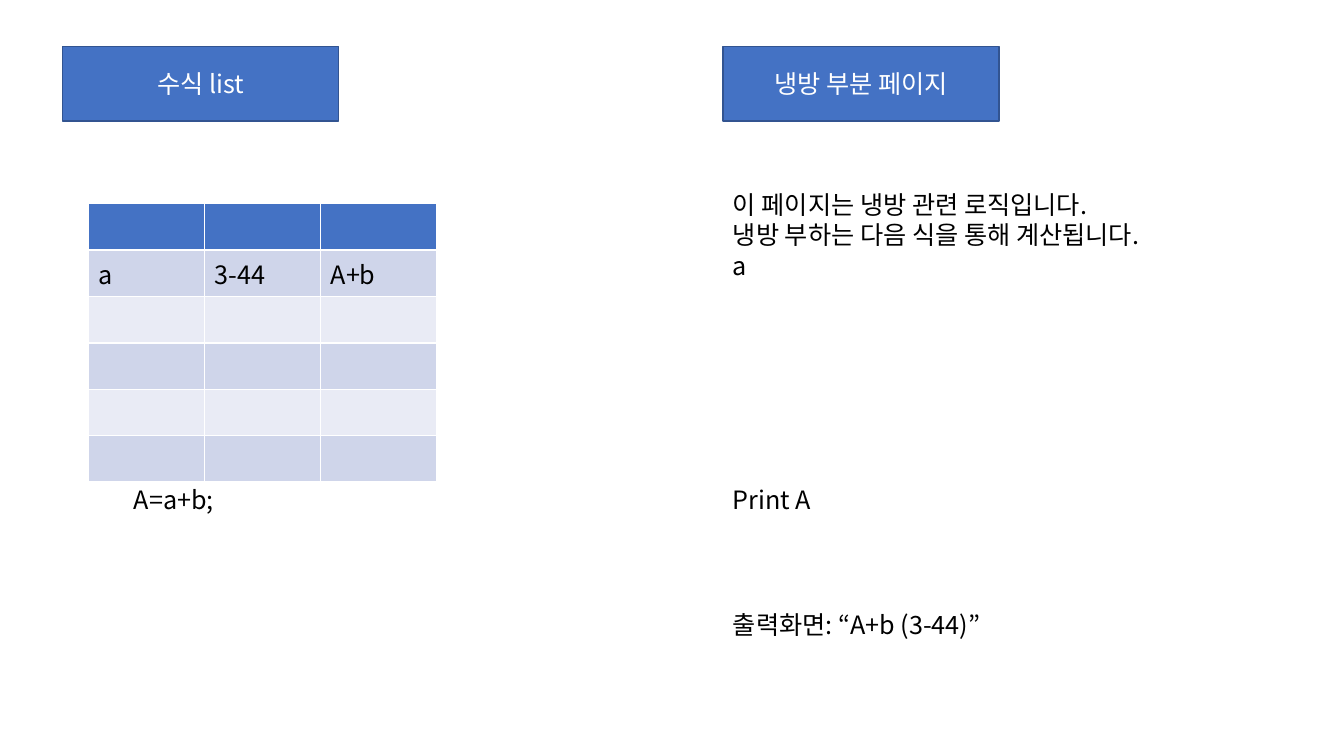
"""Build a slide pairing a formula list with its cooling page."""
from lxml import etree
from pptx import Presentation
from pptx.dml.color import RGBColor
from pptx.enum.shapes import MSO_SHAPE
from pptx.enum.text import MSO_ANCHOR, PP_ALIGN
from pptx.oxml.ns import qn
from pptx.util import Inches, Pt

RECT = MSO_SHAPE.RECTANGLE
MIDDLE = MSO_ANCHOR.MIDDLE
CENTER = PP_ALIGN.CENTER
FONT = "Noto Sans CJK KR"
COLORS = {
    "header": "4472C4",
    "outline": "325491",
    "band_dark": "CFD5EA",
    "band_light": "E9EBF5",
    "text": "000000",
    "white": "FFFFFF",
}
FORMULAS = [
    ["", "", ""],
    ["a", "3-44", "A+b"],
    ["", "", ""],
    ["", "", ""],
    ["", "", ""],
    ["", "", ""],
]


def color(name):
    """Return a palette colour."""
    return RGBColor.from_string(COLORS[name])


def set_text(tf, text, font_color):
    """Fill a text frame and format its runs for Latin and Korean text."""
    tf.text = text
    for p in tf.paragraphs:
        for r in p.runs:
            r.font.size = Pt(18)
            r.font.name = FONT
            r.font.color.rgb = color(font_color)
            ea = etree.SubElement(r.font._element, qn("a:ea"))
            ea.set("typeface", FONT)


def add_heading(s, x, y, text):
    """Add a blue heading bar."""
    sp = s.shapes.add_shape(RECT, Inches(x), Inches(y), Inches(2.74), Inches(0.74))
    sp.shadow.inherit = False
    sp.fill.solid()
    sp.fill.fore_color.rgb = color("header")
    sp.line.color.rgb = color("outline")
    sp.line.width = Pt(1)
    tf = sp.text_frame
    set_text(tf, text, "white")
    tf.vertical_anchor = MIDDLE
    tf.paragraphs[0].alignment = CENTER


def add_text(s, x, y, w, h, text):
    """Add a wrapped text box."""
    tf = s.shapes.add_textbox(Inches(x), Inches(y), Inches(w), Inches(h)).text_frame
    tf.word_wrap = True
    set_text(tf, text, "text")


def add_formula_table(s, x, y, w, h):
    """Add the banded formula table."""
    rows, cols = len(FORMULAS), len(FORMULAS[0])
    table = s.shapes.add_table(
        rows, cols, Inches(x), Inches(y), Inches(w), Inches(h)
    ).table
    for i, values in enumerate(FORMULAS):
        band = "band_dark" if i % 2 else "band_light"
        for j, value in enumerate(values):
            cell = table.cell(i, j)
            cell.fill.solid()
            cell.fill.fore_color.rgb = color(band if i else "header")
            if value:
                set_text(cell.text_frame, value, "text")


def add_formula_list(s, x, y):
    """Place the formula list region from its top left corner."""
    add_heading(s, x, y, "수식 list")
    add_formula_table(s, x + 0.26, y + 1.56, 3.45, 2.76)
    add_text(s, x + 0.61, y + 4.3, 2.47, 0.4, "A=a+b;")


def add_cooling_page(s, x, y):
    """Place the cooling page region from its top left corner."""
    add_heading(s, x, y, "냉방 부분 페이지")
    add_text(
        s, x, y + 1.37, 4.61, 2.22,
        "이 페이지는 냉방 관련 로직입니다.\n냉방 부하는 다음 식을 통해 계산됩니다.\na",
    )
    add_text(s, x, y + 4.3, 2.47, 0.4, "Print A")
    add_text(s, x, y + 5.54, 2.74, 0.4, "출력화면: “A+b (3-44)”")


def main():
    """Build and save the presentation."""
    prs = Presentation()
    prs.slide_width, prs.slide_height = Inches(13.33), Inches(7.5)
    s = prs.slides.add_slide(prs.slide_layouts[6])
    add_formula_list(s, 0.62, 0.46)
    add_cooling_page(s, 7.17, 0.46)
    prs.save("out.pptx")


if __name__ == "__main__":
    main()
